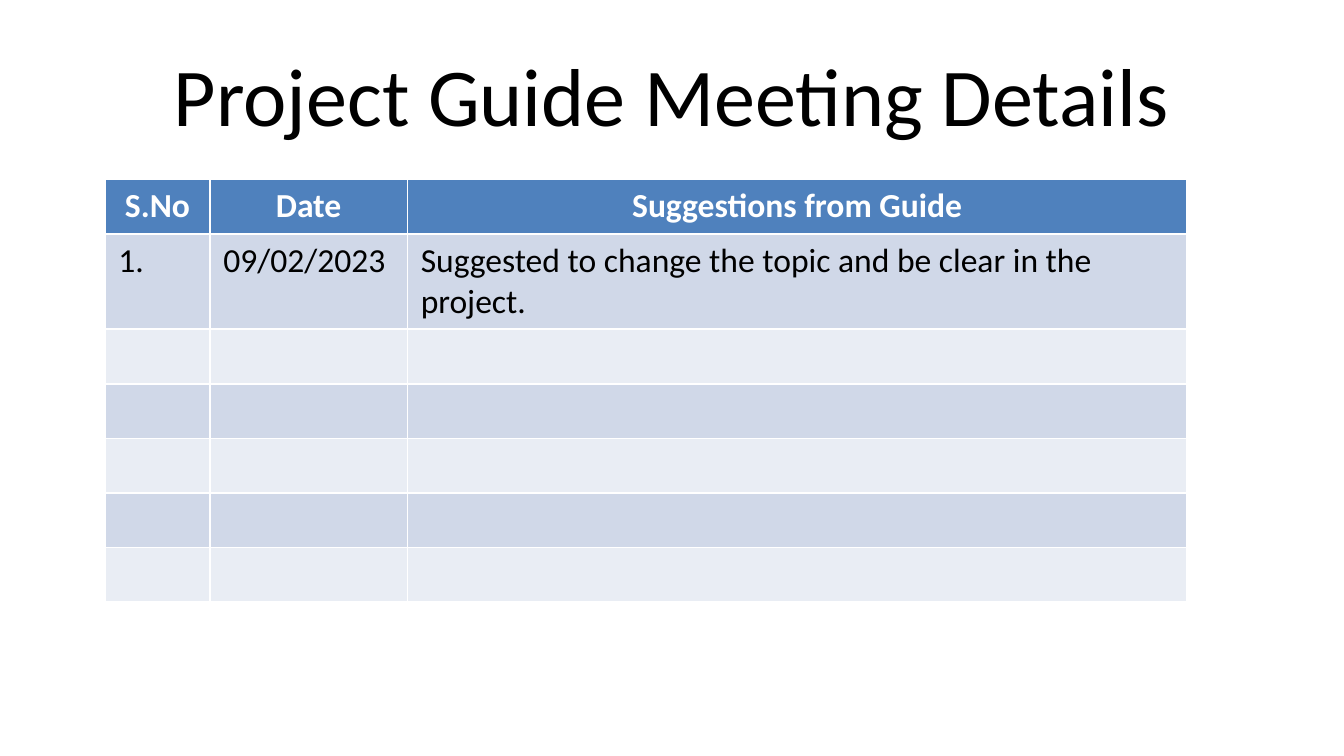
"""Build the project guide meeting slide."""
import dataclasses

import pptx
import pptx.dml.color
import pptx.enum.text
import pptx.presentation
import pptx.slide
import pptx.table
import pptx.util

PX = 9525
FONT = "Calibri"
COLORS = {
    "ink": "000000",
    "header": "4F81BD",
    "header_text": "FFFFFF",
    "odd_band": "D0D8E8",
    "even_band": "E9EDF4",
}
ROW_HEIGHT = 39
ROW_COUNT = 7


@dataclasses.dataclass(frozen=True)
class Column:
    heading: str
    width: int


@dataclasses.dataclass(frozen=True)
class Meeting:
    number: str
    date: str
    suggestion: str


COLUMNS = [Column("S.No", 75), Column("Date", 141), Column("Suggestions from Guide", 557)]
MEETINGS = [
    Meeting("1.", "09/02/2023", "Suggested to change the topic and be clear in the project."),
]


def px(length: int) -> pptx.util.Emu:
    return pptx.util.Emu(length * PX)


def rgb(name: str) -> pptx.dml.color.RGBColor:
    return pptx.dml.color.RGBColor.from_string(COLORS[name])


def write(frame, words: str, size: int, color: str, bold: bool, centered: bool) -> None:
    frame.text = words
    paragraph = frame.paragraphs[0]
    if centered:
        paragraph.alignment = pptx.enum.text.PP_ALIGN.CENTER
    for run in paragraph.runs:
        run.font.name = FONT
        run.font.size = pptx.util.Pt(size)
        run.font.bold = bold
        run.font.color.rgb = rgb(color)


def fill_row(meetings: pptx.table.Table, index: int, entries: tuple[str, ...]) -> None:
    is_header = index == 0
    band = "header" if is_header else "odd_band" if index % 2 else "even_band"
    meetings.rows[index].height = px(ROW_HEIGHT)
    for position in range(len(COLUMNS)):
        cell = meetings.cell(index, position)
        cell.fill.solid()
        cell.fill.fore_color.rgb = rgb(band)
        if entries:
            color = "header_text" if is_header else "ink"
            write(cell.text_frame, entries[position], 18, color, is_header, is_header)


def add_title(slide: pptx.slide.Slide) -> None:
    heading = slide.shapes.title
    heading.left, heading.top, heading.width, heading.height = map(px, (48, 22, 864, 90))
    write(heading.text_frame, "Project Guide Meeting Details", 44, "ink", False, True)
    heading.text_frame.vertical_anchor = pptx.enum.text.MSO_ANCHOR.MIDDLE


def add_meetings(slide: pptx.slide.Slide) -> None:
    width = sum(column.width for column in COLUMNS)
    meetings = slide.shapes.add_table(
        ROW_COUNT, len(COLUMNS), px(75), px(128), px(width), px(ROW_COUNT * ROW_HEIGHT)
    ).table
    for position, column in enumerate(COLUMNS):
        meetings.columns[position].width = px(column.width)
    rows = [tuple(column.heading for column in COLUMNS)]
    rows += [dataclasses.astuple(meeting) for meeting in MEETINGS]
    for index in range(ROW_COUNT):
        fill_row(meetings, index, rows[index] if index < len(rows) else ())


def main() -> None:
    deck = pptx.Presentation()
    deck.slide_width, deck.slide_height = px(960), px(540)
    slide = deck.slides.add_slide(deck.slide_layouts[5])
    add_title(slide)
    add_meetings(slide)
    deck.save("out.pptx")


if __name__ == "__main__":
    main()
